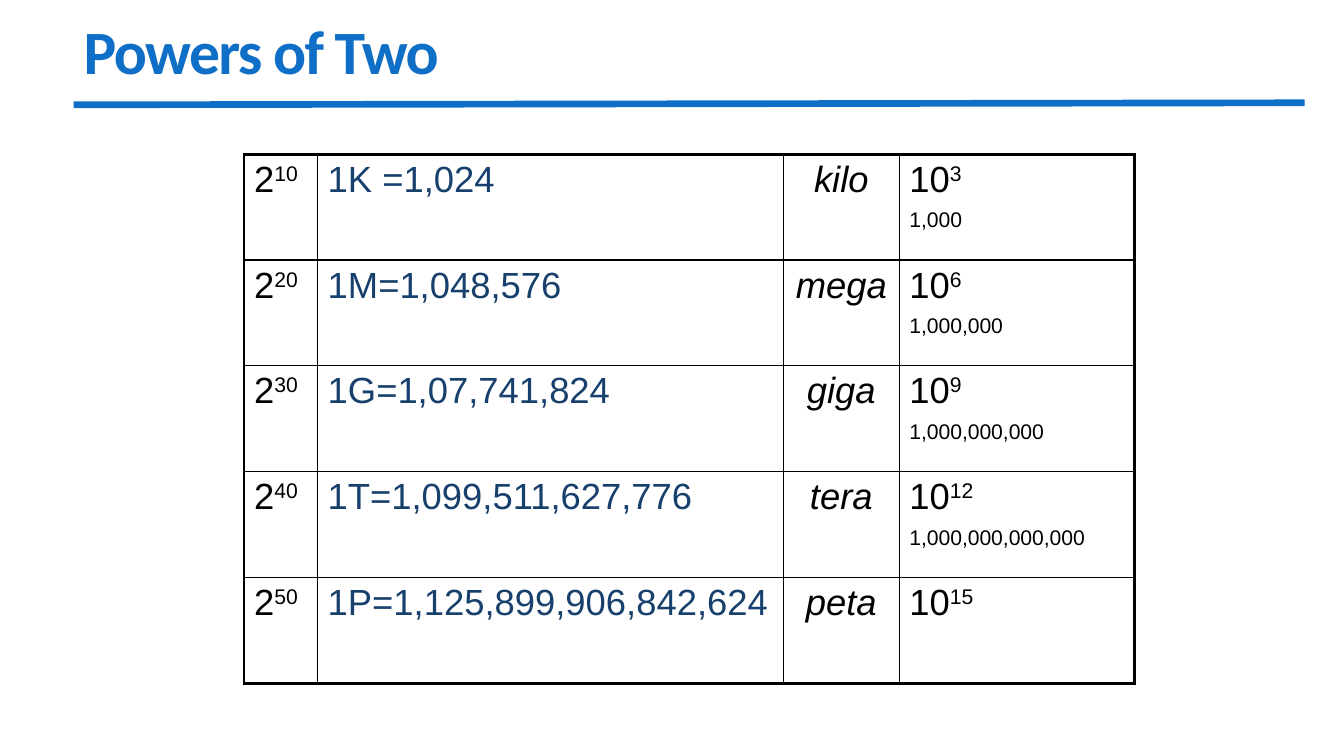
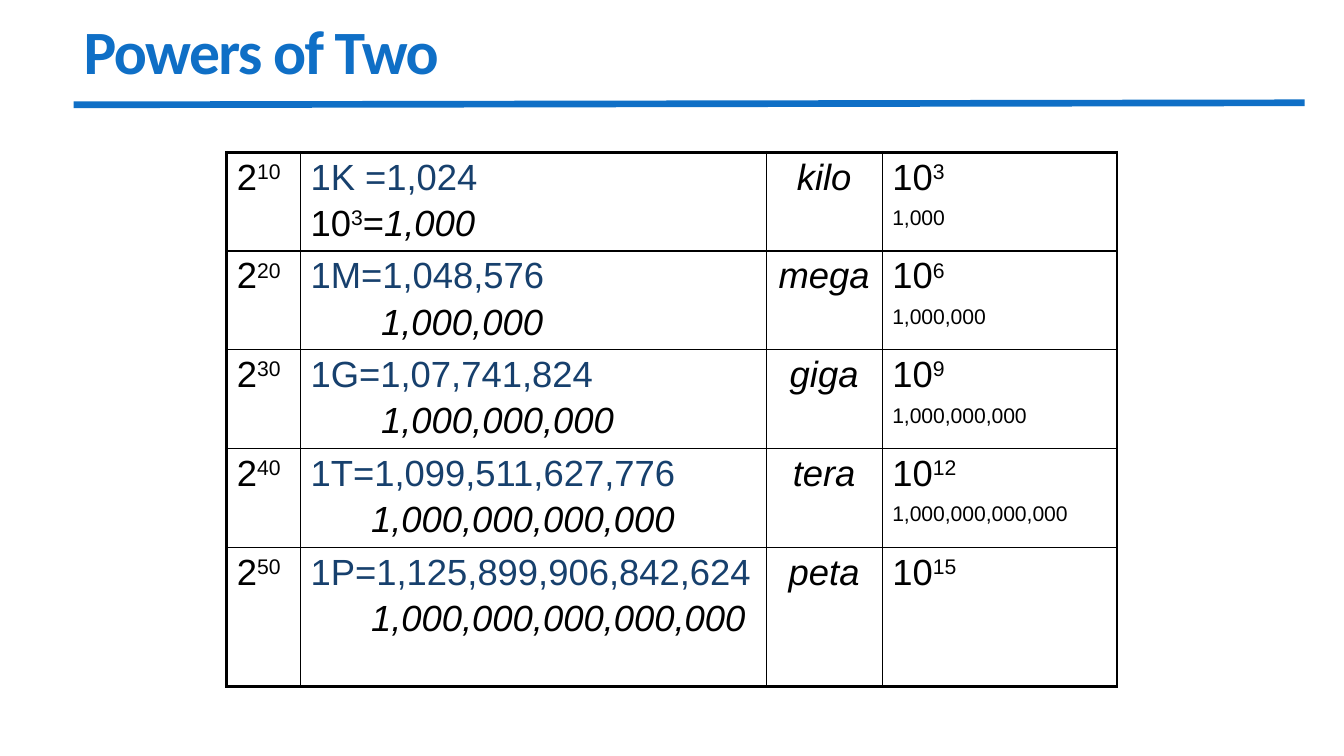
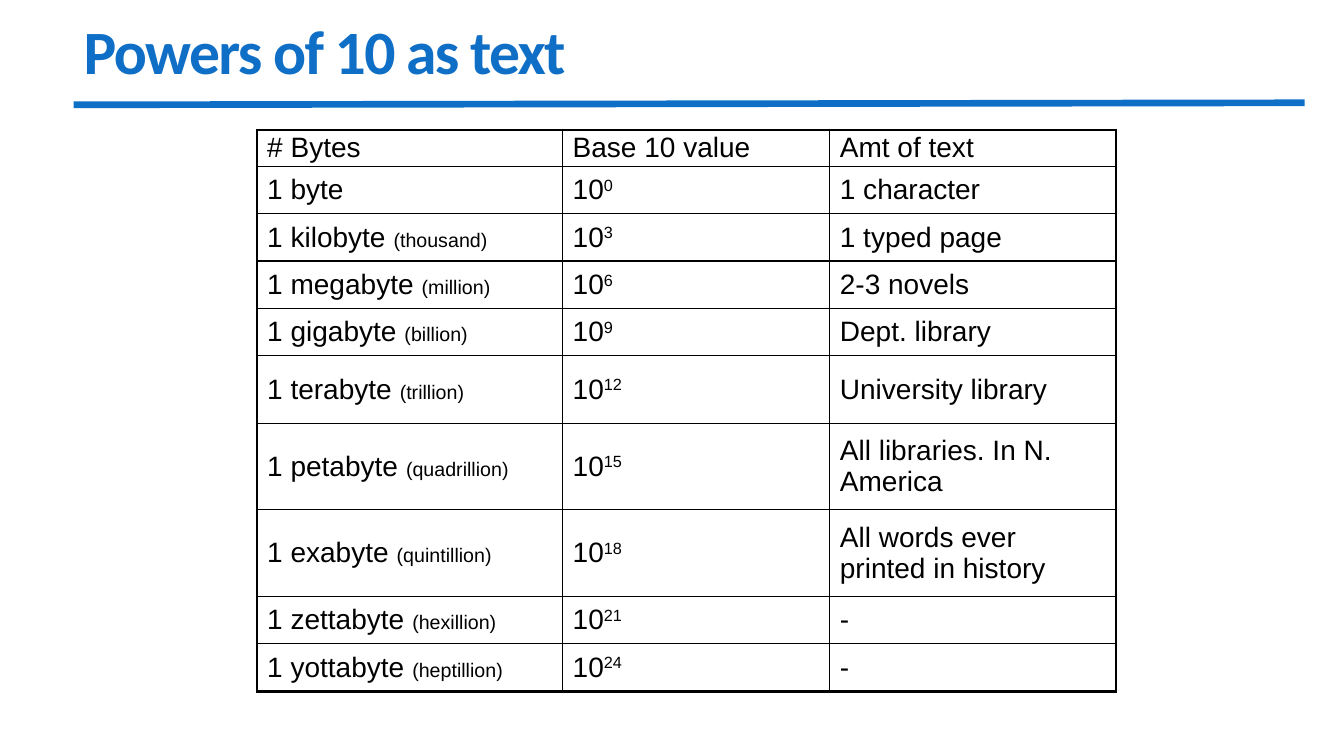
from dataclasses import dataclass

from lxml import etree
from pptx import Presentation
from pptx import util as u
from pptx.dml.color import RGBColor
from pptx.enum import shapes, text
from pptx.oxml import ns


@dataclass(frozen=True)
class Theme:
    accent: str = "0F6FC6"
    value: str = "17406D"
    ink: str = "000000"
    title_font: str = "Calibri"
    body_font: str = "Arial"
    title_size: float = 44
    power_size: float = 26
    byte_size: float = 20
    note_size: float = 14
    para_gap: float = 4
    rule: float = 4.75
    outer_border: float = 2.25
    inner_border: float = 1


THEME = Theme()
SLIDE_SIZE = (13.33, 7.5)
TITLE_BOX = (0.73, 0.08, 11.78, 0.94)
RULE_ENDS = (0.73, 1.04, 12.94, 1.02)

# Content: exponent of 2, value, prefix, exponent of 10, indent of the decimal value
POWERS = [
    (10, "1K =1,024", "kilo", 3, 0),
    (20, "1M=1,048,576", "mega", 6, 0.7),
    (30, "1G=1,07,741,824", "giga", 9, 0.7),
    (40, "1T=1,099,511,627,776", "tera", 12, 0.6),
    (50, "1P=1,125,899,906,842,624", "peta", 15, 0.6),
]
POWER_COLUMNS = (0.73, 4.62, 1.15, 2.33)

BYTE_HEADINGS = ("# Bytes", "Base 10 value", "Amt of text")
# Unit, its name in words, amount of text, row height
BYTES = [
    ("1 byte", "", "1 character", 0.47),
    ("1 kilobyte ", "(thousand)", "1 typed page", 0.47),
    ("1 megabyte ", "(million)", "2-3 novels", 0.47),
    ("1 gigabyte ", "(billion)", "Dept. library", 0.47),
    ("1 terabyte ", "(trillion)", "University library", 0.67),
    ("1 petabyte ", "(quadrillion)", "All libraries. In N. America", 0.86),
    ("1 exabyte ", "(quintillion)", "All words ever printed in history", 0.86),
    ("1 zettabyte ", "(hexillion)", "-", 0.47),
    ("1 yottabyte ", "(heptillion)", "-", 0.47),
]
BYTE_COLUMNS = (3.03, 2.65, 2.84)
HEADING_HEIGHT = 0.36


@dataclass
class Para:
    runs: list  # (text, options) pairs
    centred: bool = False
    indent: float = 0


def plain(words, **options):
    return Para([(words, options)])


def power(base, exponent):
    return [(str(base), {}), (str(exponent), {"raised": True})]


# Text and borders
def add_run(paragraph, words, size, font=THEME.body_font, color=THEME.ink,
            bold=False, italic=False, raised=False):
    run = paragraph.add_run()
    run.text = words
    run.font.size = u.Pt(size)
    run.font.name = font
    run.font.bold = bold
    run.font.italic = italic
    run.font.color.rgb = RGBColor.from_string(color)
    if raised:
        run.font._element.set("baseline", "30000")
    return run


def fill_cell(cell, paras, size):
    for i, para in enumerate(paras):
        frame = cell.text_frame
        paragraph = frame.add_paragraph() if i else frame.paragraphs[0]
        paragraph.space_before = u.Pt(THEME.para_gap)
        paragraph.alignment = text.PP_ALIGN.CENTER if para.centred else text.PP_ALIGN.LEFT
        if para.indent:
            paragraph._p.get_or_add_pPr().set("marL", str(u.Inches(para.indent)))
        for words, options in para.runs:
            add_run(paragraph, words, **{"size": size, **options})


def set_borders(cell, outer_sides):
    properties = cell._tc.get_or_add_tcPr()
    for i, side in enumerate("LRTB"):
        width = THEME.outer_border if side in outer_sides else THEME.inner_border
        line = etree.Element(ns.qn(f"a:ln{side}"), w=str(u.Pt(width)))
        fill = etree.SubElement(line, ns.qn("a:solidFill"))
        etree.SubElement(fill, ns.qn("a:srgbClr"), val=THEME.ink)
        properties.insert(i, line)


# Slide parts
def add_titled_slide(deck, title):
    slide = deck.slides.add_slide(deck.slide_layouts[5])

    x1, y1, x2, y2 = map(u.Inches, RULE_ENDS)
    rule = slide.shapes.add_connector(shapes.MSO_CONNECTOR.STRAIGHT, x1, y1, x2, y2)
    rule.line.color.rgb = RGBColor.from_string(THEME.accent)
    rule.line.width = u.Pt(THEME.rule)
    etree.SubElement(rule._element.spPr, ns.qn("a:effectLst"))

    heading = slide.shapes.title
    heading.left, heading.top, heading.width, heading.height = map(u.Inches, TITLE_BOX)
    frame = heading.text_frame
    frame.auto_size = text.MSO_AUTO_SIZE.NONE
    frame.vertical_anchor = text.MSO_ANCHOR.MIDDLE
    paragraph = frame.paragraphs[0]
    paragraph.alignment = text.PP_ALIGN.LEFT
    paragraph.line_spacing = 0.85
    run = add_run(paragraph, title, THEME.title_size, THEME.title_font, THEME.accent, bold=True)
    run.font._element.set("spc", "-120")
    return slide


def add_grid(slide, corner, columns, heights, rows, size, anchor, margin):
    left, top = corner
    frame = slide.shapes.add_table(
        len(rows), len(columns), u.Inches(left), u.Inches(top),
        u.Inches(sum(columns)), u.Inches(sum(heights)))
    grid = frame.table
    grid.first_row = grid.horz_banding = False
    for column, width in zip(grid.columns, columns):
        column.width = u.Inches(width)
    for r, (row, height) in enumerate(zip(rows, heights)):
        grid.rows[r].height = u.Inches(height)
        for c, paras in enumerate(row):
            cell = grid.cell(r, c)
            cell.margin_left = cell.margin_right = u.Inches(0.1)
            cell.margin_top = cell.margin_bottom = u.Inches(margin)
            cell.vertical_anchor = anchor
            cell.fill.background()
            edges = {"L": c == 0, "R": c == len(columns) - 1,
                     "T": r == 0, "B": r == len(rows) - 1}
            set_borders(cell, [side for side, outer in edges.items() if outer])
            fill_cell(cell, paras, size)


# Table rows
def power_row(exponent, value, prefix, ten, indent, with_decimal):
    decimal = f"{10 ** ten:,}"
    values = [plain(value, color=THEME.value)]
    if with_decimal:
        lead = [] if indent else power(10, ten) + [("=", {})]
        values.append(Para(lead + [(decimal, {"italic": True})], indent=indent))
    tens = [Para(power(10, ten))]
    if ten < 15:
        tens.append(plain(decimal, raised=True))
    name = Para([(prefix, {"italic": True})], centred=True)
    return [[Para(power(2, exponent))], values, [name], tens]


def byte_row(step, unit, words, amount):
    unit_runs = [(unit, {})]
    if words:
        unit_runs.append((words, {"size": THEME.note_size}))
    return [[Para(unit_runs)], [Para(power(10, 3 * step))], [plain(amount)]]


def add_powers_slide(deck, corner, heights, with_decimal):
    slide = add_titled_slide(deck, "Powers of Two")
    rows = [power_row(*entry, with_decimal) for entry in POWERS]
    add_grid(slide, corner, POWER_COLUMNS, heights, rows,
             THEME.power_size, text.MSO_ANCHOR.TOP, 0.05)


def add_bytes_slide(deck):
    slide = add_titled_slide(deck, "Powers of 10 as text")
    rows = [[[plain(heading)] for heading in BYTE_HEADINGS]]
    rows += [byte_row(step, *entry[:3]) for step, entry in enumerate(BYTES)]
    heights = [HEADING_HEIGHT] + [entry[3] for entry in BYTES]
    add_grid(slide, (2.55, 1.29), BYTE_COLUMNS, heights, rows,
             THEME.byte_size, text.MSO_ANCHOR.MIDDLE, 0)


def main():
    deck = Presentation()
    deck.slide_width, deck.slide_height = map(u.Inches, SLIDE_SIZE)
    add_powers_slide(deck, (2.42, 1.53), [1.05] * 5, with_decimal=False)
    add_powers_slide(deck, (2.25, 1.51), [0.98] * 4 + [1.38], with_decimal=True)
    add_bytes_slide(deck)
    deck.save("out.pptx")


if __name__ == "__main__":
    main()
